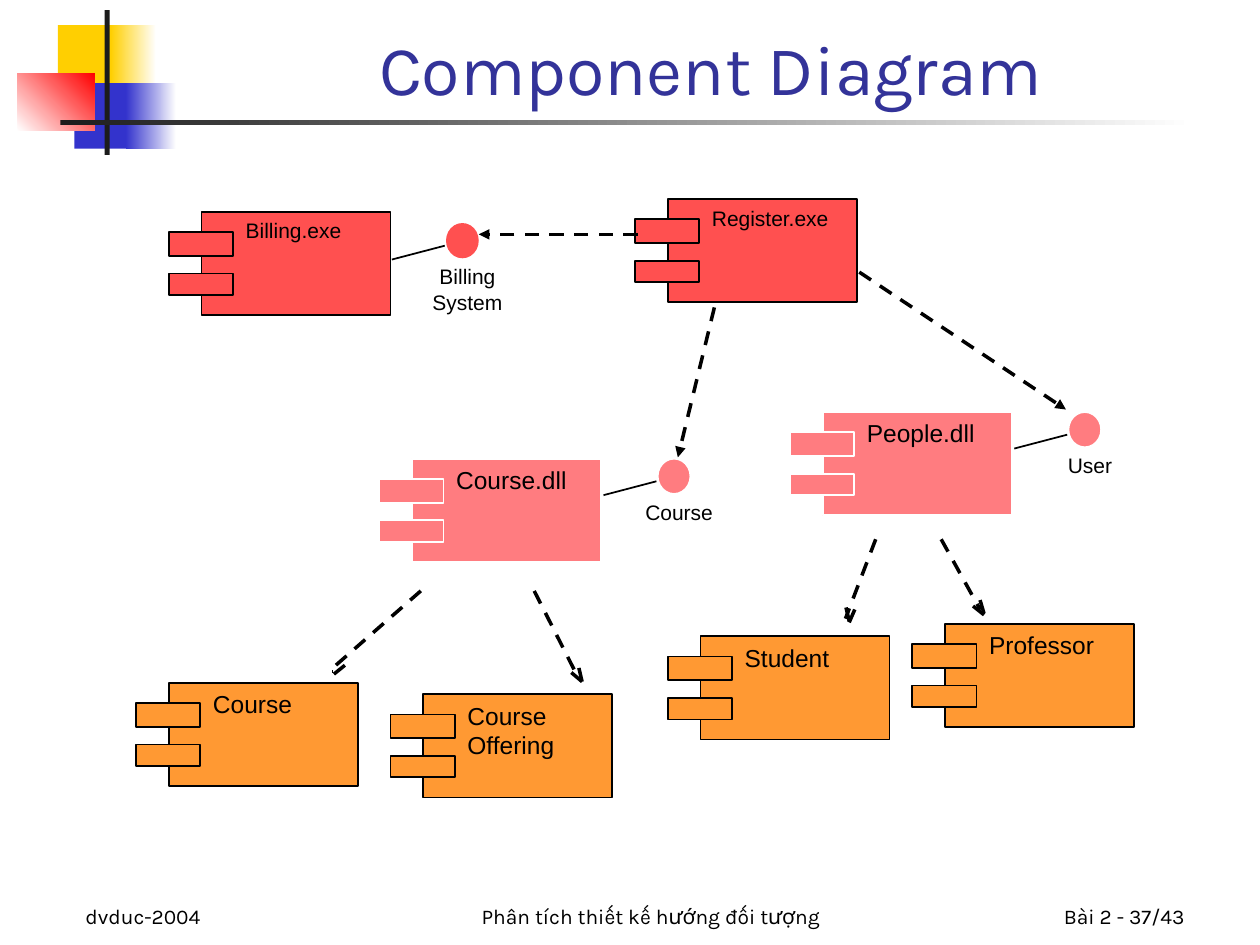
from lxml.etree import SubElement
from pptx import Presentation
from pptx.dml.color import RGBColor
from pptx.enum.dml import MSO_LINE
from pptx.enum.shapes import MSO_CONNECTOR, MSO_SHAPE
from pptx.enum.text import MSO_ANCHOR as Anchor, MSO_AUTO_SIZE as AutoSize, PP_ALIGN as Align
from pptx.oxml.ns import qn
from pptx.util import Inches, Pt

BLACK = RGBColor(0x00, 0x00, 0x00)
WHITE = RGBColor(0xFF, 0xFF, 0xFF)
CHARCOAL = RGBColor(0x1C, 0x1C, 0x1C)
YELLOW = RGBColor(0xFF, 0xCF, 0x01)
BLUE = RGBColor(0x33, 0x33, 0xCC)
NAVY = RGBColor(0x33, 0x33, 0x99)
PURE_RED = RGBColor(0xFF, 0x00, 0x00)
RED = RGBColor(0xFF, 0x50, 0x50)
PINK = RGBColor(0xFF, 0x7C, 0x80)
ORANGE = RGBColor(0xFF, 0x99, 0x33)

prs = Presentation()
prs.slide_width, prs.slide_height = Inches(10), Inches(7.5)
slide = prs.slides.add_slide(prs.slide_layouts[5])
shapes = slide.shapes


def write(holder, text, size, font="Arial", color=BLACK, align=Align.LEFT,
          anchor=Anchor.TOP, margins=(0, 0), wrap=False):
    frame = holder.text_frame
    frame.text = text
    frame.word_wrap = wrap
    frame.auto_size = AutoSize.NONE if wrap else AutoSize.SHAPE_TO_FIT_TEXT
    frame.vertical_anchor = anchor
    frame.margin_left = frame.margin_right = Inches(margins[0])
    frame.margin_top = frame.margin_bottom = Inches(margins[1])
    for paragraph in frame.paragraphs:
        paragraph.alignment = align
        paragraph.font.size = Pt(size)
        paragraph.font.name = font
        paragraph.font.color.rgb = color


def draw(kind, left, top, width, height, color, outline=None, fade_to=None, angle=0):
    block = shapes.add_shape(kind, Inches(left), Inches(top), Inches(width), Inches(height))
    block.shadow.inherit = False
    if fade_to is None:
        block.fill.solid()
        block.fill.fore_color.rgb = color
    else:
        block.fill.gradient()
        block.fill.gradient_angle = angle
        for stop, shade in zip(block.fill.gradient_stops, (color, fade_to)):
            stop.color.rgb = shade
    if outline is None:
        block.line.fill.background()
    else:
        block.line.color.rgb = outline
        block.line.width = Pt(1)
    return block


for left, top, width, height, color, fade_to, angle in [
    (0.46, 0.2, 0.48, 0.52, YELLOW, None, 0),
    (0.88, 0.2, 0.36, 0.52, YELLOW, WHITE, 0),
    (0.59, 0.66, 0.46, 0.52, BLUE, None, 0),
    (1, 0.66, 0.4, 0.52, BLUE, WHITE, 0),
    (0.14, 0.58, 0.61, 0.46, WHITE, PURE_RED, 45),
    (0.83, 0.08, 0.04, 1.15, CHARCOAL, None, 0),
    (0.48, 0.95, 9, 0.04, CHARCOAL, WHITE, 0),
]:
    draw(MSO_SHAPE.RECTANGLE, left, top, width, height, color, fade_to=fade_to, angle=angle)

title = shapes.title
title.left, title.top, title.width, title.height = map(Inches, (1.5, 0.08, 8.28, 0.84))
write(title, "Component Diagram", 40, font="Karla", color=NAVY, align=Align.CENTER,
      anchor=Anchor.BOTTOM, margins=(0.1, 0.05), wrap=True)

for left, width, text, align in [
    (0.58, 2.08, "dvduc-2004", Align.LEFT),
    (3.25, 3.83, "Phân tích thiết kế hướng đối tượng", Align.CENTER),
    (7.42, 2.08, "Bài 2 - 37/43", Align.RIGHT),
]:
    footer = shapes.add_textbox(Inches(left), Inches(6.92), Inches(width), Inches(0.5))
    write(footer, text, 12, font="Karla", align=align, anchor=Anchor.BOTTOM,
          margins=(0.1, 0.05), wrap=True)

for left, top, name, name_width, size, color, outline in [
    (1.34, 5.42, "Course", 0.64, 14, ORANGE, BLACK),
    (3.36, 5.51, "Course\nOffering", 0.7, 14, ORANGE, BLACK),
    (5.56, 5.05, "Student", 0.69, 14, ORANGE, BLACK),
    (7.5, 4.95, "Professor", 0.85, 14, ORANGE, BLACK),
    (3.27, 3.64, "Course.dll", 0.89, 14, PINK, WHITE),
    (6.53, 3.27, "People.dll", 0.87, 14, PINK, WHITE),
    (5.3, 1.58, "Register.exe", 0.95, 12, RED, BLACK),
    (1.6, 1.68, "Billing.exe", 0.77, 12, RED, BLACK),
]:
    draw(MSO_SHAPE.RECTANGLE, left, top, 1.5, 0.82, color, outline)
    for drop, height in [(0.16, 0.19), (0.49, 0.17)]:
        draw(MSO_SHAPE.RECTANGLE, left - 0.26, top + drop, 0.51, height, color, outline)
    name_height = size / 60 * len(name.split("\n"))
    name_plate = draw(MSO_SHAPE.RECTANGLE, left + 0.35, top + 0.05,
                      name_width, name_height, color)
    write(name_plate, name, size)

solid_lines = [(2.64, 5.34, 2.64, 5.32)]
for left, top, label, label_width, label_height, color, outline in [
    (5.22, 3.64, "Course", 0.7, 0.25, PINK, WHITE),
    (8.48, 3.27, "User", 0.52, 0.25, PINK, WHITE),
    (3.54, 1.77, "Billing\nSystem", 0.72, 0.45, RED, None),
]:
    solid_lines.append((left - 0.43, top + 0.29, left - 0.01, top + 0.18))
    draw(MSO_SHAPE.OVAL, left, top, 0.26, 0.28, color, outline)
    label_box = shapes.add_textbox(Inches(left + 0.17 - label_width / 2), Inches(top + 0.3),
                                   Inches(label_width), Inches(label_height))
    write(label_box, label, 12, align=Align.CENTER, anchor=Anchor.MIDDLE, margins=(0.06, 0.02))

dashed_lines = [
    (3.34, 4.69, 2.62, 5.32), (2.65, 5.35, 2.75, 5.27),
    (4.24, 4.69, 4.59, 5.38), (4.62, 5.41, 4.58, 5.24), (4.62, 5.41, 4.49, 5.3),
    (6.95, 4.28, 6.71, 4.91), (6.74, 4.94, 6.8, 4.8), (6.74, 4.93, 6.7, 4.76),
    (7.47, 4.28, 7.78, 4.84), (7.81, 4.87, 7.76, 4.7), (7.81, 4.88, 7.66, 4.76),
]
interface_arrows = [
    (5.06, 1.86, 3.8, 1.86), (5.67, 2.44, 5.38, 3.63), (6.82, 2.16, 8.46, 3.25),
]
for routes, width, dashed, arrowhead in [
    (solid_lines, 1, False, False),
    (dashed_lines, 2, True, False),
    (interface_arrows, 2, True, True),
]:
    for route in routes:
        link = shapes.add_connector(MSO_CONNECTOR.STRAIGHT, *map(Inches, route))
        link.line.color.rgb = BLACK
        link.line.width = Pt(width)
        if dashed:
            link.line.dash_style = MSO_LINE.DASH
        properties = link._element.spPr
        if arrowhead:
            SubElement(properties.find(qn("a:ln")), qn("a:tailEnd"), type="triangle")
        SubElement(properties, qn("a:effectLst"))

prs.save("out.pptx")
